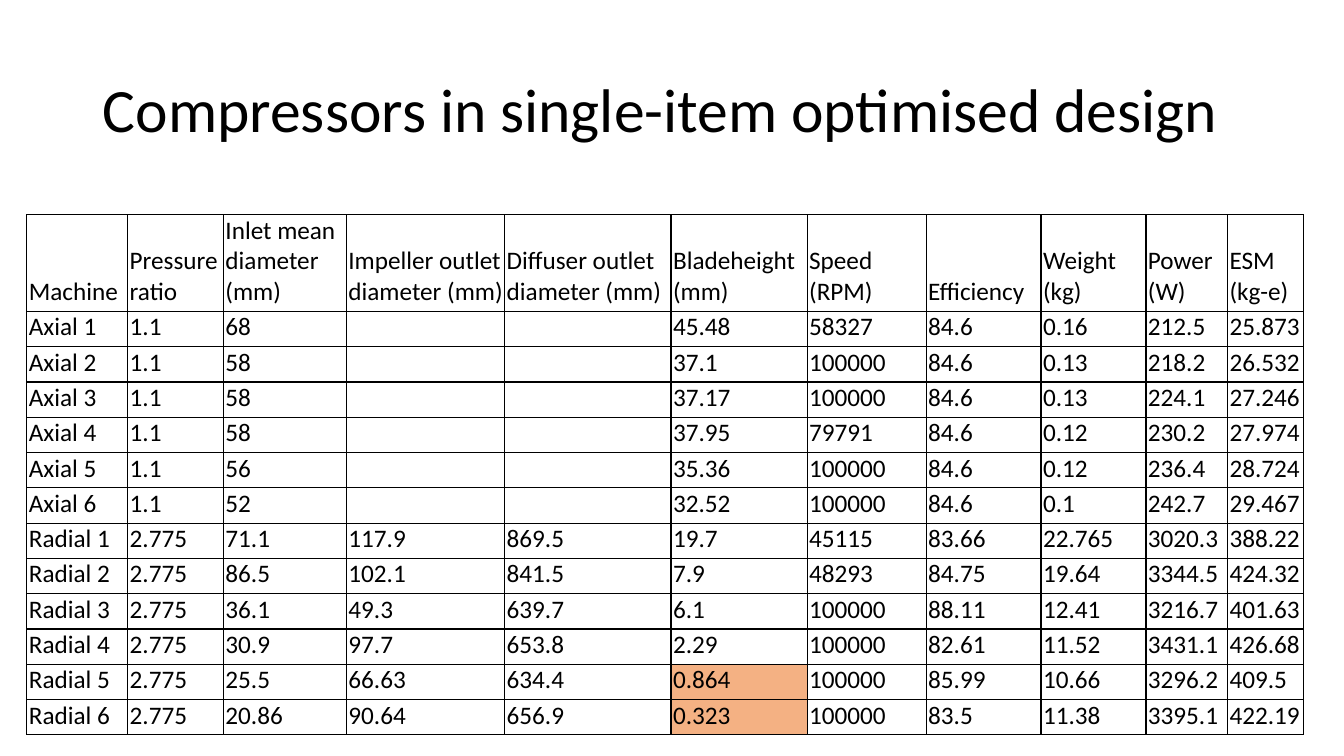
from lxml import etree
from pptx import Presentation
from pptx.dml.color import RGBColor
from pptx.enum.text import MSO_ANCHOR, PP_ALIGN
from pptx.oxml.ns import qn
from pptx.util import Inches, Pt

LEFT = PP_ALIGN.LEFT
MIDDLE, BOTTOM = MSO_ANCHOR.MIDDLE, MSO_ANCHOR.BOTTOM
SLIDE_WIDTH, SLIDE_HEIGHT = 13.33, 7.5
TITLE_ONLY = 5

COLUMNS = [
    ("Machine", 1), ("Pressure ratio", 0.95), ("Inlet mean diameter (mm)", 1.22),
    ("Impeller outlet diameter (mm)", 1.57), ("Diffuser outlet diameter (mm)", 1.65),
    ("Bladeheight (mm)", 1.35), ("Speed (RPM)", 1.18), ("Efficiency", 1.14),
    ("Weight (kg)", 1.04), ("Power (W)", 0.81), ("ESM (kg-e)", 0.75),
]
# Inlet diameter, blade height, speed, weight, power, ESM
AXIAL = [
    ("68", "45.48", "58327", "0.16", "212.5", "25.873"),
    ("58", "37.1", "100000", "0.13", "218.2", "26.532"),
    ("58", "37.17", "100000", "0.13", "224.1", "27.246"),
    ("58", "37.95", "79791", "0.12", "230.2", "27.974"),
    ("56", "35.36", "100000", "0.12", "236.4", "28.724"),
    ("52", "32.52", "100000", "0.1", "242.7", "29.467"),
]
# All columns after the pressure ratio
RADIAL = [
    ("71.1", "117.9", "869.5", "19.7", "45115", "83.66", "22.765", "3020.3", "388.22"),
    ("86.5", "102.1", "841.5", "7.9", "48293", "84.75", "19.64", "3344.5", "424.32"),
    ("36.1", "49.3", "639.7", "6.1", "100000", "88.11", "12.41", "3216.7", "401.63"),
    ("30.9", "97.7", "653.8", "2.29", "100000", "82.61", "11.52", "3431.1", "426.68"),
    ("25.5", "66.63", "634.4", "0.864", "100000", "85.99", "10.66", "3296.2", "409.5"),
    ("20.86", "90.64", "656.9", "0.323", "100000", "83.5", "11.38", "3395.1", "422.19"),
]


def color(hex_string):
    return RGBColor.from_string(hex_string)


class SlideBuilder:
    font_name = "Calibri"
    ink, paper, highlight = "000000", "FFFFFF", "F4B183"
    title_size, body_size, border_width = 44, 18, 1
    header_height, row_height = 0.96, 0.35

    def __init__(self, presentation):
        self.slide = presentation.slides.add_slide(presentation.slide_layouts[TITLE_ONLY])
        self.width, self.height = presentation.slide_width, presentation.slide_height

    def box(self, left, top, width, height):
        """Turn shares of the slide into lengths."""
        return (int(left * self.width), int(top * self.height),
                int(width * self.width), int(height * self.height))

    def style(self, paragraph, size):
        paragraph.alignment = LEFT
        paragraph.font.name = self.font_name
        paragraph.font.size = Pt(size)
        paragraph.font.color.rgb = color(self.ink)

    def title(self, text, *shares):
        shape = self.slide.shapes.title
        shape.left, shape.top, shape.width, shape.height = self.box(*shares)
        shape.text_frame.text = text
        shape.text_frame.vertical_anchor = MIDDLE
        paragraph = shape.text_frame.paragraphs[0]
        paragraph.line_spacing = 0.9
        self.style(paragraph, self.title_size)

    def borders(self, cell):
        properties = cell._tc.get_or_add_tcPr()
        for side in ("lnL", "lnR", "lnT", "lnB"):
            line = etree.SubElement(properties, qn(f"a:{side}"), w=str(Pt(self.border_width)))
            fill = etree.SubElement(line, qn("a:solidFill"))
            etree.SubElement(fill, qn("a:srgbClr"), val=self.ink)

    def cell(self, cell, text, fill):
        self.borders(cell)
        cell.fill.solid()
        cell.fill.fore_color.rgb = color(fill)
        cell.margin_left, cell.margin_bottom = Inches(0.02), Inches(0.04)
        cell.margin_top = cell.margin_right = 0
        cell.vertical_anchor = BOTTOM
        cell.text = text
        self.style(cell.text_frame.paragraphs[0], self.body_size)

    def table(self, rows, widths, highlighted, *shares):
        frame = self.slide.shapes.add_table(len(rows), len(widths), *self.box(*shares))
        table = frame.table
        table.first_row = table.horz_banding = False
        for column, width in zip(table.columns, widths):
            column.width = Inches(width)
        for row_index, values in enumerate(rows):
            height = self.row_height if row_index else self.header_height
            table.rows[row_index].height = Inches(height)
            for column_index, text in enumerate(values):
                fill = self.highlight if text in highlighted else self.paper
                self.cell(table.cell(row_index, column_index), text, fill)


def main():
    presentation = Presentation()
    presentation.slide_width = Inches(SLIDE_WIDTH)
    presentation.slide_height = Inches(SLIDE_HEIGHT)
    builder = SlideBuilder(presentation)

    # Title
    builder.title("Compressors in single-item optimised design", 0.069, 0.053, 0.863, 0.193)

    # Compressor table: header, axial machines, radial machines
    headings, widths = zip(*COLUMNS)
    rows = [headings]
    for number, (inlet, blade, speed, *loads) in enumerate(AXIAL, 1):
        rows.append((f"Axial {number}", "1.1", inlet, "", "", blade, speed, "84.6", *loads))
    for number, values in enumerate(RADIAL, 1):
        rows.append((f"Radial {number}", "2.775", *values))
    builder.table(rows, widths, {"0.864", "0.323"}, 0.02, 0.284, 0.949, 0.688)

    presentation.save("out.pptx")


if __name__ == "__main__":
    main()
